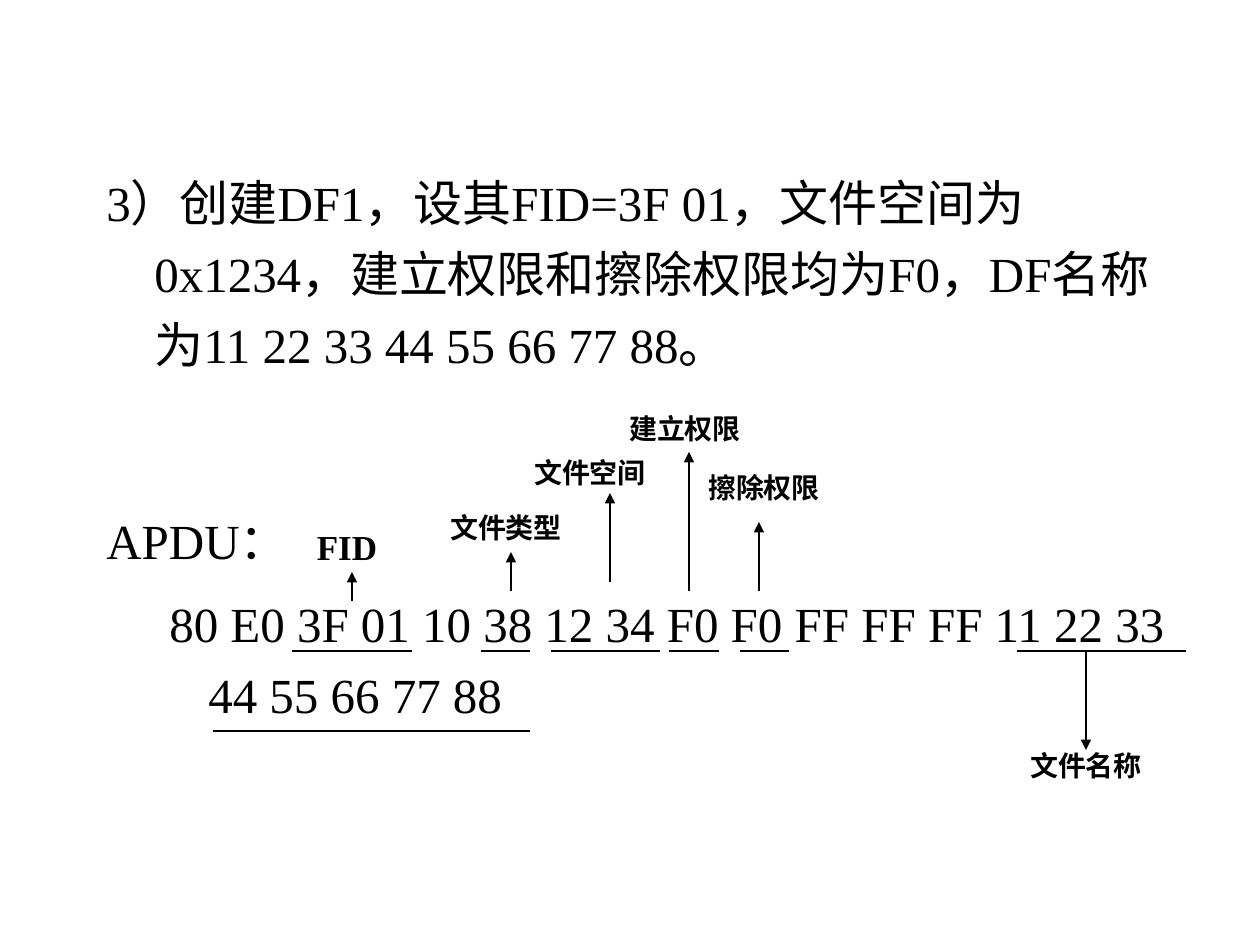
from lxml import etree
from pptx import Presentation, util as u
from pptx.dml.color import RGBColor
from pptx.enum import shapes, text
from pptx.oxml.ns import qn

PX = 914400 // 126
BLACK = "000000"
FONT = "Times New Roman"
UNDERLINE_Y = 651
LABEL_WIDTH, LABEL_HEIGHT = 120, 30

LABELS = [
    ("FID", 347, 547, 20),
    ("文件类型", 506, 527, 16),
    ("文件空间", 590, 472, 16),
    ("建立权限", 685, 428, 16),
    ("擦除权限", 764, 487, 16),
    ("文件名称", 1086, 765, 16),
]
ARROWS = [
    (352, 601, 572),
    (511, 591, 552),
    (610, 582, 493),
    (689, 591, 452),
    (759, 591, 522),
    (1086, UNDERLINE_Y, 750),
]
UNDERLINES = [
    (292, 412, UNDERLINE_Y),
    (481, 530, UNDERLINE_Y),
    (551, 660, UNDERLINE_Y),
    (669, 719, UNDERLINE_Y),
    (740, 789, UNDERLINE_Y),
    (1017, 1186, UNDERLINE_Y),
    (213, 530, 731),
]


def px(length):
    return u.Emu(length * PX)


def color(value):
    return RGBColor.from_string(value)


def style(para, size, bold=False):
    for span in para.runs:
        span.font.name = FONT
        span.font.size = u.Pt(size)
        span.font.bold = bold
        span.font.color.rgb = color(BLACK)


def add_body(page, left, top, width, height, lines):
    box = page.shapes.add_textbox(px(left), px(top), px(width), px(height))
    frame = box.text_frame
    frame.word_wrap = True
    frame.text = "\n".join(content for content, *_ in lines)
    for index, (para, (_, level, margin, indent)) in enumerate(zip(frame.paragraphs, lines)):
        para.level = level
        para.line_spacing = 1.2
        para.space_before = u.Pt(7 if index else 0)
        properties = para._p.get_or_add_pPr()
        properties.set("marL", str(px(margin)))
        properties.set("indent", str(px(indent)))
        style(para, 28)


def add_label(page, content, center_x, center_y, size):
    box = page.shapes.add_textbox(
        px(center_x - LABEL_WIDTH // 2), px(center_y - LABEL_HEIGHT // 2),
        px(LABEL_WIDTH), px(LABEL_HEIGHT))
    frame = box.text_frame
    frame.word_wrap = False
    frame.margin_left = frame.margin_right = 0
    frame.margin_top = frame.margin_bottom = 0
    frame.vertical_anchor = text.MSO_ANCHOR.MIDDLE
    frame.text = content
    para = frame.paragraphs[0]
    para.alignment = text.PP_ALIGN.CENTER
    style(para, size, bold=True)


def add_line(page, x1, y1, x2, y2, arrow=False):
    line = page.shapes.add_connector(
        shapes.MSO_CONNECTOR.STRAIGHT, px(x1), px(y1), px(x2), px(y2))
    line.line.color.rgb = color(BLACK)
    line.line.width = u.Pt(0.75)
    if arrow:
        etree.SubElement(line.line._get_or_add_ln(), qn("a:tailEnd"), type="triangle")
    etree.SubElement(line._element.spPr, qn("a:effectLst"))


def main():
    deck = Presentation()
    deck.slide_width, deck.slide_height = px(1260), px(945)
    page = deck.slides.add_slide(deck.slide_layouts[6])

    add_body(page, 94, 155, 1091, 238, [
        ("3）创建DF1，设其FID=3F 01，文件空间为0x1234，建立权限和擦除权限均为F0，"
         "DF名称为11 22 33 44 55 66 77 88。", 0, 48, -48),
    ])
    add_body(page, 94, 493, 1101, 238, [
        ("APDU：", 0, 48, -48),
        ("80 E0 3F 01 10 38 12 34 F0 F0 FF FF FF 11 22 33 44 55 66 77 88", 1, 102, -39),
    ])
    for label in LABELS:
        add_label(page, *label)
    for x, start, tip in ARROWS:
        add_line(page, x, start, x, tip, arrow=True)
    for left, right, y in UNDERLINES:
        add_line(page, left, y, right, y)

    deck.save("out.pptx")


if __name__ == "__main__":
    main()
